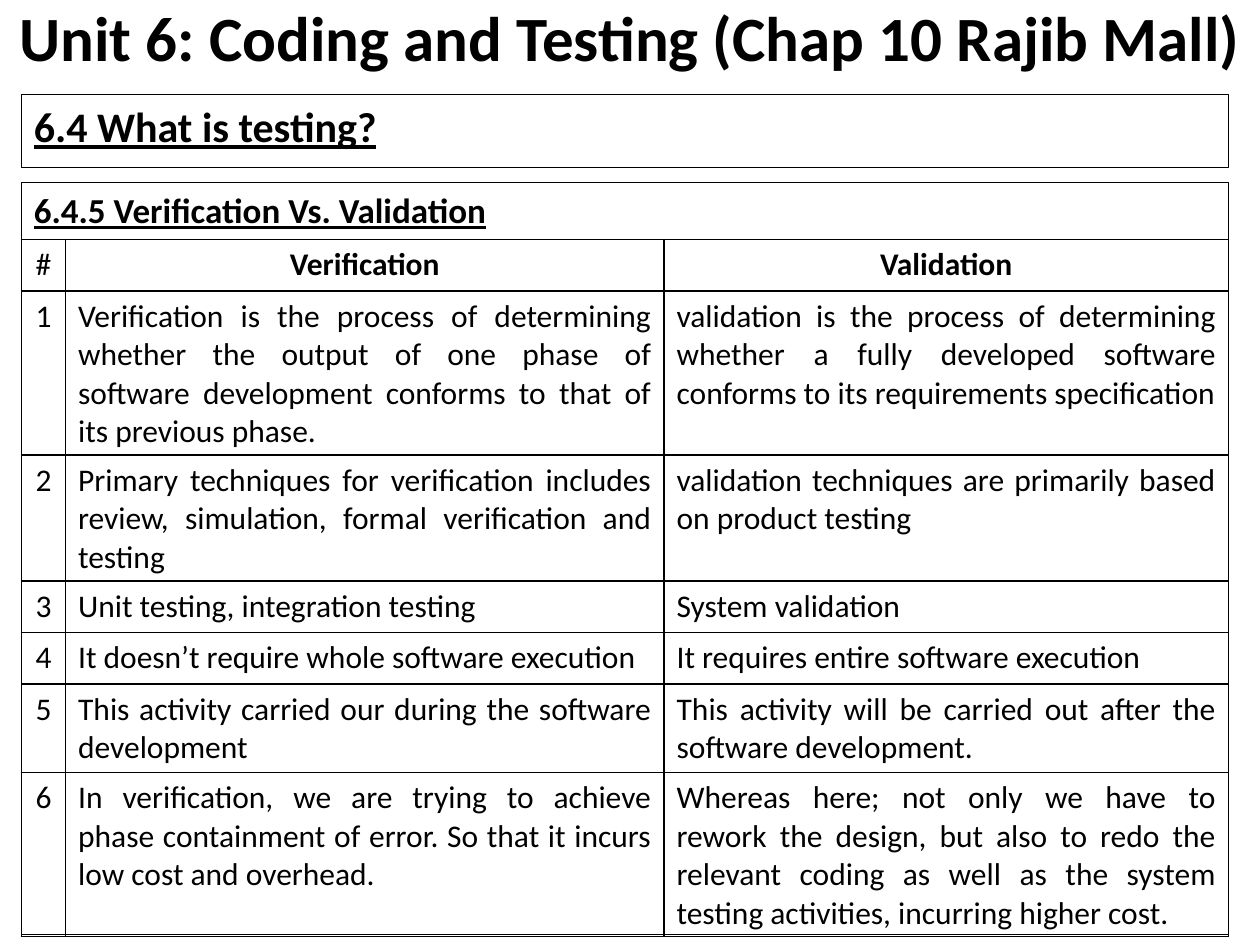
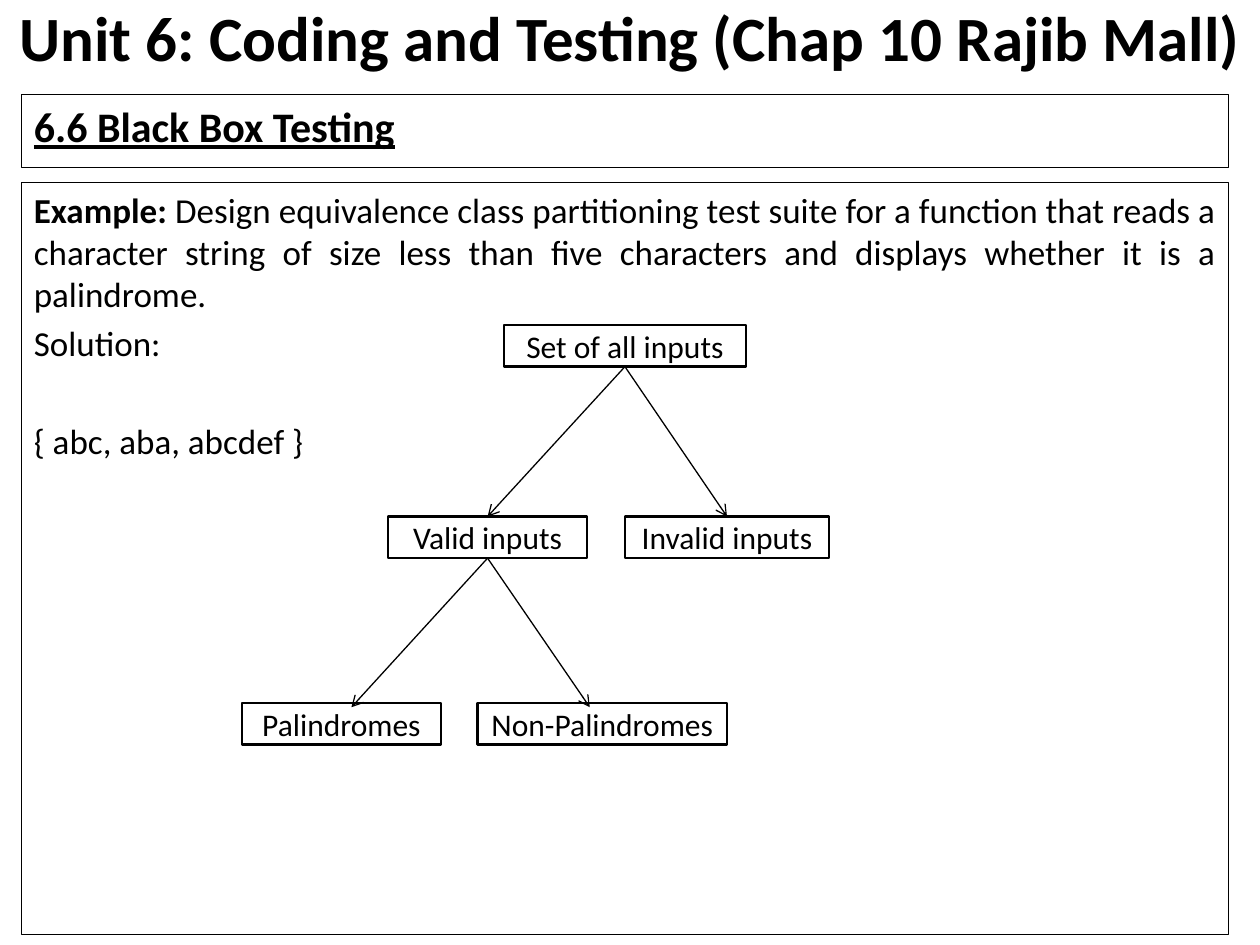
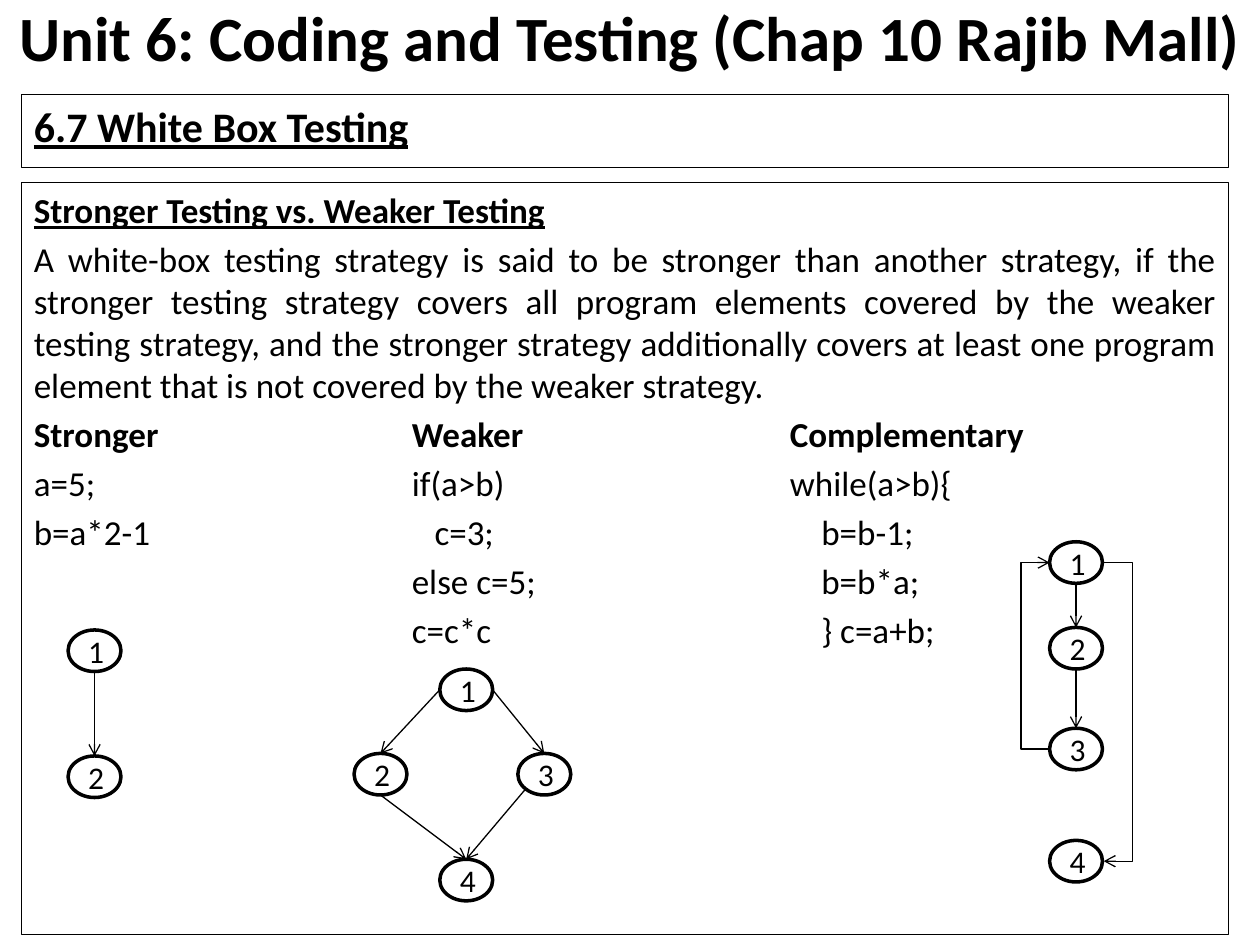
"""Build three lecture slides on verification, black box and white box testing."""
from dataclasses import dataclass

from lxml import etree
from pptx import Presentation
from pptx.dml.color import RGBColor
from pptx.enum.shapes import MSO_CONNECTOR, MSO_SHAPE
from pptx.enum.text import MSO_ANCHOR, PP_ALIGN
from pptx.oxml.ns import qn
from pptx.util import Inches, Pt

RECTANGLE, OVAL = MSO_SHAPE.RECTANGLE, MSO_SHAPE.OVAL
STRAIGHT, ELBOW = MSO_CONNECTOR.STRAIGHT, MSO_CONNECTOR.ELBOW
TOP, MIDDLE = MSO_ANCHOR.TOP, MSO_ANCHOR.MIDDLE
LEFT, CENTER, JUSTIFY = PP_ALIGN.LEFT, PP_ALIGN.CENTER, PP_ALIGN.JUSTIFY


@dataclass(frozen=True)
class Theme:
    font: str = "Calibri"
    ink: RGBColor = RGBColor(0, 0, 0)
    title: float = 36
    heading: float = 24
    body: float = 20
    label: float = 18
    thin: float = 0.75
    grid: float = 1
    node: float = 1.25
    ring: float = 2


THEME = Theme()
TITLE = "Unit 6: Coding and Testing (Chap 10 Rajib Mall)"
HEADING_BOUNDS = (0.17, 0.75, 9.58, 0.58)
PANEL_BOUNDS = (0.17, 1.45, 9.58, 5.97)
NODE_HEIGHT, RING_WIDTH = 0.33, 0.42
ELBOW_WIDTH, ELBOW_REACH = 0.01, 0.24
BODY_SPACE, SOLUTION_SPACE = 4, 32
COLUMN_STOPS, CODE_STOPS = (3, 6), (3.18, 6.25)
MIXED_STOPS = (3, 6.25)
TABLE_COLUMNS, ROW_HEIGHT = (0.35, 4.75, 4.48), 0.41

ANCHORS = {
    "top": (0.5, 0),
    "left": (0, 0.5),
    "bottom": (0.5, 1),
    "right": (1, 0.5),
    "lower left": (0.15, 0.85),
    "top, right of middle": (0.55, 0.1),
    "top, left of middle": (0.45, 0.1),
}
RECTANGLE_SITES = {"top": 0, "left": 1, "bottom": 2, "right": 3}
OVAL_SITES = {"top": 0, "left": 2, "lower left": 3, "bottom": 4, "right": 6}

COMPARISON = [
    ("#", "Verification", "Validation"),
    ("1",
     "Verification is the process of determining whether the output of one phase of "
     "software development conforms to that of its previous phase.",
     "validation is the process of determining whether a fully developed software "
     "conforms to its requirements specification"),
    ("2",
     "Primary techniques for verification includes review, simulation, formal "
     "verification and testing",
     "validation techniques are primarily based on product testing"),
    ("3", "Unit testing, integration testing", "System validation"),
    ("4", "It doesn’t require whole software execution",
     "It requires entire software execution"),
    ("5", "This activity carried our during the software development",
     "This activity will be carried out after the software development."),
    ("6",
     "In verification, we are trying to achieve phase containment of error. So that "
     "it incurs low cost and overhead.",
     "Whereas here; not only we have to rework the design, but also to redo the "
     "relevant coding as well as the system testing activities, incurring higher cost."),
]

SECTIONS = [
    {
        "heading": "6.4 What is testing?",
        "table": COMPARISON,
        "body": [([("6.4.5 Verification Vs. Validation", "bu")], BODY_SPACE, ())],
    },
    {
        "heading": "6.6 Black Box Testing",
        "body": [
            ([("Example:", "b"),
              (" Design equivalence class partitioning test suite for a function that "
               "reads a character string of size less than five characters and displays "
               "whether it is a palindrome.", "")], BODY_SPACE, ()),
            ([("Solution:", "")], BODY_SPACE, ()),
            ([("{ abc, aba, abcdef }", "")], SOLUTION_SPACE, ()),
        ],
        "kind": RECTANGLE,
        "nodes": {
            "all": ("Set of all inputs", 4, 2.58, 1.92),
            "valid": ("Valid inputs", 3.08, 4.1, 1.58),
            "invalid": ("Invalid inputs", 4.96, 4.1, 1.62),
            "palindromes": ("Palindromes", 1.92, 5.58, 1.58),
            "others": ("Non-Palindromes", 3.79, 5.58, 1.98),
        },
        "links": [
            ("all", "bottom", "valid", "top"),
            ("all", "bottom", "invalid", "top"),
            ("valid", "bottom", "palindromes", "top, right of middle"),
            ("valid", "bottom", "others", "top, left of middle"),
        ],
    },
    {
        "heading": "6.7 White Box Testing",
        "body": [
            ([("Stronger Testing vs. Weaker Testing", "bu")], BODY_SPACE, ()),
            ([("A white-box testing strategy is said to be stronger than another strategy, "
               "if the stronger testing strategy covers all program elements covered by "
               "the weaker testing strategy, and the stronger strategy additionally covers "
               "at least one program element that is not covered by the weaker strategy.",
               "")], BODY_SPACE, ()),
            ([("Stronger\tWeaker\tComplementary", "b")], BODY_SPACE, COLUMN_STOPS),
            ([("a=5;\tif(a>b)\twhile(a>b){", "")], BODY_SPACE, COLUMN_STOPS),
            ([("b=a*2-1\tc=3;\tb=b-1;", "")], BODY_SPACE, CODE_STOPS),
            ([("\telse c=5;\tb=b*a;", "")], BODY_SPACE, MIXED_STOPS),
            ([("\tc=c*c\t} c=a+b;", "")], BODY_SPACE, MIXED_STOPS),
        ],
        "kind": OVAL,
        "nodes": {
            "sequence 1": ("1", 0.54, 5, RING_WIDTH),
            "sequence 2": ("2", 0.54, 6, RING_WIDTH),
            "branch 1": ("1", 3.49, 5.31, RING_WIDTH),
            "branch 2": ("2", 2.81, 5.98, RING_WIDTH),
            "branch 3": ("3", 4.11, 5.98, RING_WIDTH),
            "branch 4": ("4", 3.49, 6.82, RING_WIDTH),
            "loop 1": ("1", 8.33, 4.3, RING_WIDTH),
            "loop 2": ("2", 8.33, 4.98, RING_WIDTH),
            "loop 3": ("3", 8.33, 5.78, RING_WIDTH),
            "loop 4": ("4", 8.33, 6.67, RING_WIDTH),
        },
        "links": [
            ("sequence 1", "bottom", "sequence 2", "top"),
            ("branch 3", "lower left", "branch 4", "top"),
            ("branch 2", "bottom", "branch 4", "top"),
            ("branch 1", "right", "branch 3", "top"),
            ("branch 1", "left", "branch 2", "top"),
            ("loop 1", "bottom", "loop 2", "top"),
            ("loop 2", "bottom", "loop 3", "top"),
            ("loop 3", "left", "loop 1", "left"),
            ("loop 1", "right", "loop 4", "right"),
        ],
    },
]


def write_paragraph(frame, spans, size, alignment, space=0, stops=()):
    para = frame.add_paragraph() if frame.text else frame.paragraphs[0]
    para.alignment = alignment
    para.space_before = Pt(space)
    for text, style in spans:
        span = para.add_run()
        span.text = text
        span.font.name = THEME.font
        span.font.size = Pt(size)
        span.font.color.rgb = THEME.ink
        span.font.bold = "b" in style
        span.font.underline = "u" in style
    if stops:
        tabs = etree.SubElement(para._p.get_or_add_pPr(), qn("a:tabLst"))
        for stop in stops:
            etree.SubElement(tabs, qn("a:tab"), pos=str(Inches(stop)), algn="l")


def add_box(page, kind, bounds, weight, anchor):
    box = page.shapes.add_shape(kind, *map(Inches, bounds))
    box.shadow.inherit = False
    box.fill.background()
    box.line.color.rgb = THEME.ink
    box.line.width = Pt(weight)
    box.text_frame.word_wrap = True
    box.text_frame.vertical_anchor = anchor
    return box


deck = Presentation()
deck.slide_width, deck.slide_height = Inches(10), Inches(7.5)

for section in SECTIONS:
    page = deck.slides.add_slide(deck.slide_layouts[6])

    title = page.shapes.add_textbox(0, 0, Inches(10), Inches(0.58))
    title.text_frame.word_wrap = True
    title.text_frame.vertical_anchor = MIDDLE
    write_paragraph(title.text_frame, [(TITLE, "b")], THEME.title, CENTER)

    heading = add_box(page, RECTANGLE, HEADING_BOUNDS, THEME.thin, TOP)
    write_paragraph(heading.text_frame, [(section["heading"], "bu")], THEME.heading, LEFT, 4.8)

    if "table" in section:
        rows = section["table"]
        table = page.shapes.add_table(
            len(rows), len(TABLE_COLUMNS), Inches(0.17), Inches(1.9),
            Inches(sum(TABLE_COLUMNS)), Inches(ROW_HEIGHT * len(rows))).table
        for column, width in zip(table.columns, TABLE_COLUMNS):
            column.width = Inches(width)
        for row_index, row in enumerate(rows):
            for column_index, text in enumerate(row):
                cell = table.cell(row_index, column_index)
                style = "b" if row_index == 0 and column_index else ""
                alignment = JUSTIFY if row_index and column_index else CENTER
                write_paragraph(cell.text_frame, [(text, style)], THEME.label, alignment)
                properties = cell._tc.get_or_add_tcPr()
                for side in ("a:lnL", "a:lnR", "a:lnT", "a:lnB"):
                    border = etree.SubElement(properties, qn(side), w=str(Pt(THEME.grid)))
                    fill = etree.SubElement(border, qn("a:solidFill"))
                    etree.SubElement(fill, qn("a:srgbClr"), val=str(THEME.ink))
                cell.fill.background()

    panel = add_box(page, RECTANGLE, PANEL_BOUNDS, THEME.thin, TOP)
    for spans, space, stops in section["body"]:
        write_paragraph(panel.text_frame, spans, THEME.body, JUSTIFY, space, stops)

    nodes = {}
    for name, (label, left, top, width) in section.get("nodes", {}).items():
        weight = THEME.ring if section["kind"] == OVAL else THEME.node
        nodes[name] = add_box(page, section["kind"], (left, top, width, NODE_HEIGHT),
                              weight, MIDDLE)
        write_paragraph(nodes[name].text_frame, [(label, "")], THEME.label, CENTER)

    for start_name, start_side, end_name, end_side in section.get("links", []):
        ends = [(nodes[start_name], start_side), (nodes[end_name], end_side)]
        (start_x, start_y), (end_x, end_y) = [
            (int(node.left + node.width * ANCHORS[side][0]),
             int(node.top + node.height * ANCHORS[side][1])) for node, side in ends]
        if start_side == end_side:
            link = page.shapes.add_connector(
                ELBOW, start_x, min(start_y, end_y),
                start_x + Inches(ELBOW_WIDTH), max(start_y, end_y))
            properties = link._element.spPr
            reach = round(ELBOW_REACH / ELBOW_WIDTH * 100000)
            etree.SubElement(properties.find(qn("a:prstGeom")).find(qn("a:avLst")),
                             qn("a:gd"), name="adj1", fmla=f"val {reach}")
            if start_y > end_y:
                properties.find(qn("a:xfrm")).set("rot", "10800000")
        else:
            link = page.shapes.add_connector(STRAIGHT, start_x, start_y, end_x, end_y)
            properties = link._element.spPr
        link.line.color.rgb = THEME.ink
        link.line.width = Pt(THEME.thin)
        etree.SubElement(properties.find(qn("a:ln")), qn("a:tailEnd"), type="arrow")
        etree.SubElement(properties, qn("a:effectLst"))

        if section["kind"] == RECTANGLE:
            for connect, (node, side) in zip((link.begin_connect, link.end_connect), ends):
                if side in RECTANGLE_SITES:
                    connect(node, RECTANGLE_SITES[side])
        else:
            joints = link._element.nvCxnSpPr.cNvCxnSpPr
            for tag, (node, side) in zip(("a:stCxn", "a:endCxn"), ends):
                etree.SubElement(joints, qn(tag), id=str(node.shape_id),
                                 idx=str(OVAL_SITES[side]))

deck.save("out.pptx")
